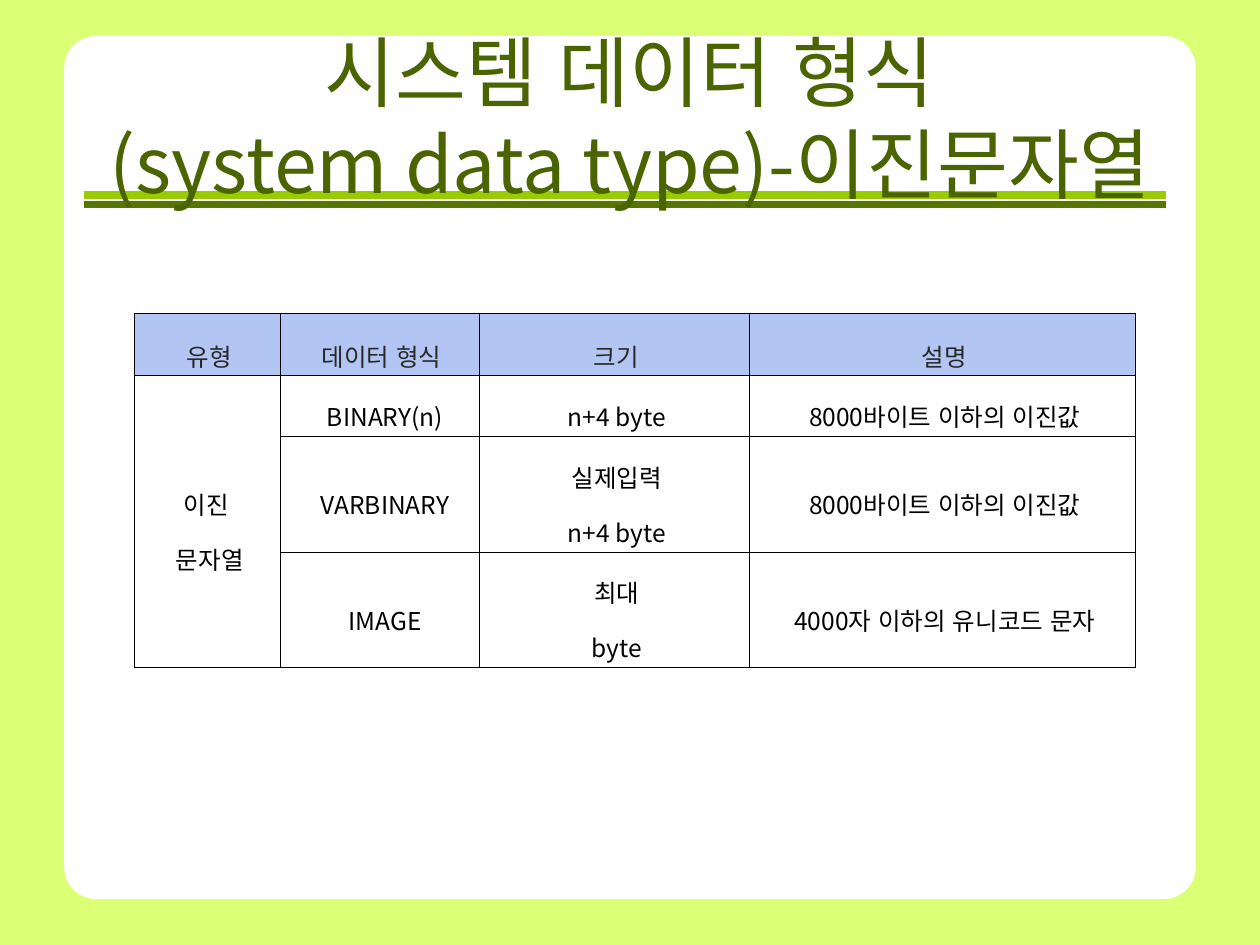
from dataclasses import dataclass

from lxml.etree import SubElement
from pptx import Presentation
from pptx.dml.color import RGBColor
from pptx.enum.lang import MSO_LANGUAGE_ID
from pptx.enum.shapes import MSO_CONNECTOR, MSO_SHAPE
from pptx.enum.text import MSO_ANCHOR, PP_ALIGN
from pptx.oxml.ns import qn
from pptx.util import Inches, Pt


@dataclass(frozen=True)
class Theme:
    font: str = "Noto Sans CJK KR"
    background: str = "DBFF75"
    panel: str = "FFFFFF"
    title: str = "4A6400"
    light_rule: str = "99CC00"
    dark_rule: str = "577600"
    header_fill: str = "B3C5F3"
    header_text: str = "282828"
    body_text: str = "000000"
    border: str = "000000"
    title_size: float = 44
    table_size: float = 14
    rule_width: float = 4.5
    border_width: float = 0.4


class SlideBuilder:
    columns, rows = 100, 75

    def __init__(self, deck, theme):
        self.theme = theme
        self.column = deck.slide_width / self.columns
        self.row = deck.slide_height / self.rows
        self.page = deck.slides.add_slide(deck.slide_layouts[6])
        self.fill(self.page.background, theme.background)

    def place(self, left, top, width, height):
        return (int(left * self.column), int(top * self.row),
                int(width * self.column), int(height * self.row))

    def fill(self, target, color):
        target.fill.solid()
        target.fill.fore_color.rgb = RGBColor.from_string(color)

    def style(self, para, size, color):
        para.alignment = PP_ALIGN.CENTER
        para.font.size = Pt(size)
        para.font.color.rgb = RGBColor.from_string(color)
        para.font.name = self.theme.font
        para.font.language_id = MSO_LANGUAGE_ID.KOREAN
        defaults = para._p.get_or_add_pPr().find(qn("a:defRPr"))
        SubElement(defaults, qn("a:ea"), typeface=self.theme.font)

    def panel(self, *area, radius):
        panel = self.page.shapes.add_shape(MSO_SHAPE.ROUNDED_RECTANGLE, *self.place(*area))
        panel.adjustments[0] = radius
        panel.shadow.inherit = False
        panel.line.fill.background()
        self.fill(panel, self.theme.panel)

    def rule(self, left, top, width, color):
        x, y, length, _ = self.place(left, top, width, 0)
        rule = self.page.shapes.add_connector(MSO_CONNECTOR.STRAIGHT, x, y, x + length, y)
        rule.line.color.rgb = RGBColor.from_string(color)
        rule.line.width = Pt(self.theme.rule_width)
        SubElement(rule._element.spPr, qn("a:effectLst"))

    def title(self, text, *area):
        box = self.page.shapes.add_textbox(*self.place(*area))
        frame = box.text_frame
        frame.word_wrap = True
        frame.vertical_anchor = MSO_ANCHOR.MIDDLE
        para = frame.paragraphs[0]
        para.text = text
        self.style(para, self.theme.title_size, self.theme.title)

    def border(self, cell):
        properties = cell._tc.get_or_add_tcPr()
        for position, side in enumerate(("lnL", "lnR", "lnT", "lnB")):
            line = SubElement(properties, qn(f"a:{side}"), w=str(Pt(self.theme.border_width)))
            paint = SubElement(line, qn("a:solidFill"))
            SubElement(paint, qn("a:srgbClr"), val=self.theme.border)
            properties.insert(position, line)

    def cell(self, cell, text, is_header):
        theme = self.theme
        cell.margin_left = cell.margin_right = Inches(0.07)
        cell.margin_top = cell.margin_bottom = Inches(0.02)
        cell.vertical_anchor = MSO_ANCHOR.MIDDLE
        if is_header:
            self.fill(cell, theme.header_fill)
        else:
            cell.fill.background()
        self.border(cell)
        cell.text = text
        for para in cell.text_frame.paragraphs:
            para.line_spacing = 1.6 if is_header else 1.55
            self.style(para, theme.table_size, theme.header_text if is_header else theme.body_text)
            indent = Inches(0.03 if is_header else 0.04)
            para._p.get_or_add_pPr().set("marL", str(indent))

    def table(self, left, top, widths, heights, records):
        area = self.place(left, top, sum(widths), sum(heights))
        table = self.page.shapes.add_table(len(heights), len(widths), *area).table
        table.first_row = table.horz_banding = False
        for column, width in zip(table.columns, widths):
            column.width = int(width * self.column)
        for row, height in zip(table.rows, heights):
            row.height = int(height * self.row)
        for row_number, record in enumerate(records):
            for column_number, text in enumerate(record):
                self.cell(table.cell(row_number, column_number), text, row_number == 0)
        return table


def main():
    deck = Presentation()
    deck.slide_width, deck.slide_height = Inches(10), Inches(7.5)
    theme = Theme()
    builder = SlideBuilder(deck, theme)
    builder.panel(5.1, 2.85, 89.8, 68.5, radius=0.037)
    builder.rule(6.7, 15.5, 85.8, theme.light_rule)
    builder.rule(6.7, 16.23, 85.8, theme.dark_rule)
    builder.title("시스템 데이터 형식\n(system data type)-이진문자열", 5, 3, 90, 12.5)
    records = [
        ("유형", "데이터 형식", "크기", "설명"),
        ("이진 \n문자열", " BINARY(n)", "n+4 byte", "8000바이트 이하의 이진값"),
        ("", " VARBINARY", "실제입력\nn+4 byte", "8000바이트 이하의 이진값"),
        ("", " IMAGE", "최대\nbyte", "4000자 이하의 유니코드 문자"),
    ]
    table = builder.table(10.65, 24.9, (11.6, 15.8, 21.4, 30.7), (4.9, 4.85, 9.15, 9.2), records)
    table.cell(1, 0).merge(table.cell(3, 0))
    deck.save("out.pptx")


if __name__ == "__main__":
    main()
